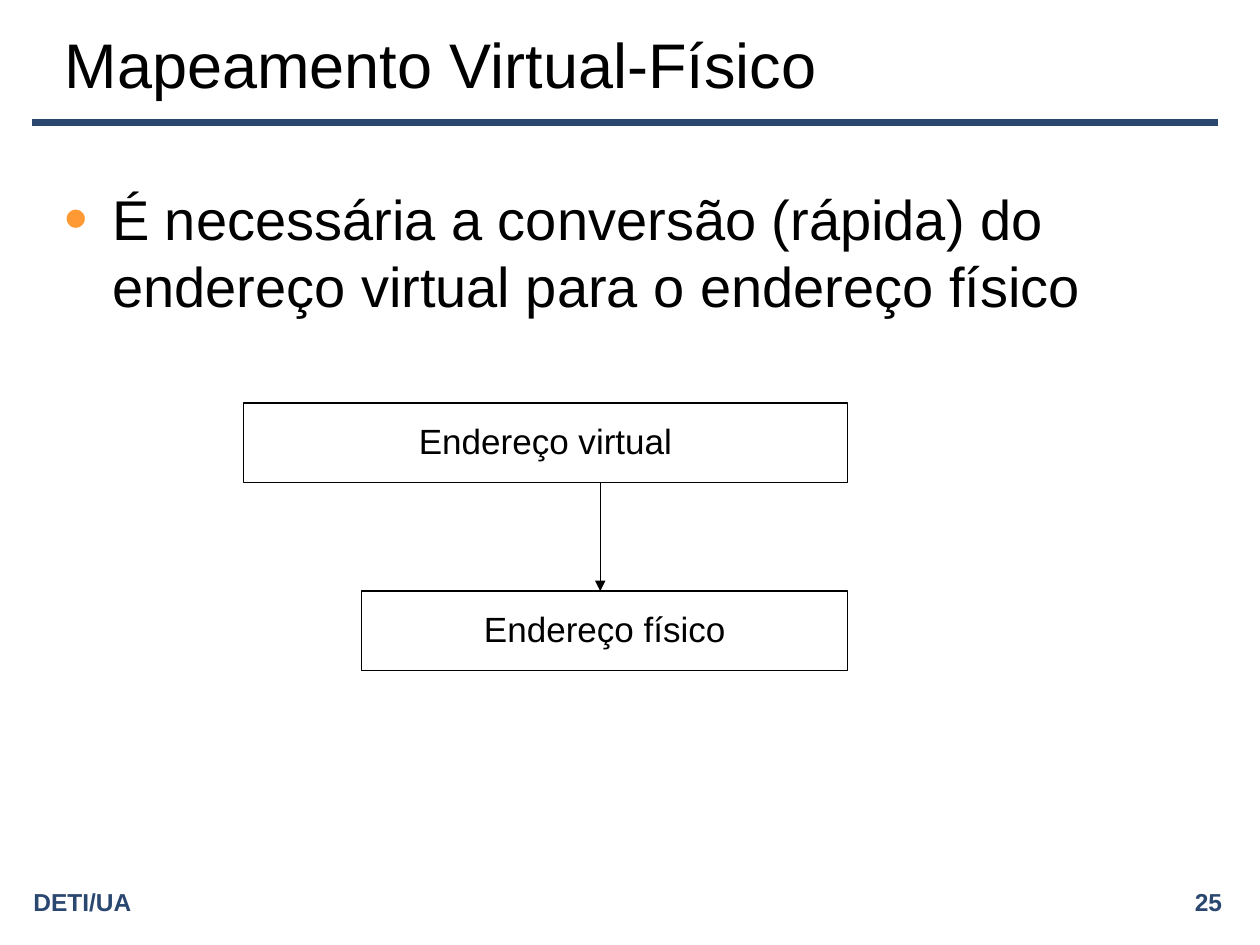
from lxml.etree import SubElement
from pptx import Presentation
from pptx.dml.color import RGBColor
from pptx.enum.shapes import MSO_CONNECTOR, MSO_SHAPE
from pptx.enum.text import MSO_ANCHOR, PP_ALIGN
from pptx.oxml.ns import qn
from pptx.util import Pt

COLORS = {"ink": "000000", "navy": "2A476F", "orange": "FF9933"}


def write(shape, text, size, color="ink", bold=False, align=PP_ALIGN.LEFT,
          anchor=MSO_ANCHOR.MIDDLE, before=0, wrap=True, bottom=3.6):
    frame = shape.text_frame
    frame.word_wrap = wrap
    frame.vertical_anchor = anchor
    frame.margin_bottom = Pt(bottom)
    para = frame.paragraphs[0]
    para.alignment = align
    para.space_before = Pt(before)
    run = para.add_run()
    run.text = text
    run.font.name = "Arial"
    run.font.size = Pt(size)
    run.font.bold = bold
    run.font.color.rgb = RGBColor.from_string(COLORS[color])
    return para


def join(shapes, start, end, color, width):
    line = shapes.add_connector(MSO_CONNECTOR.STRAIGHT, *map(Pt, start + end))
    line.line.color.rgb = RGBColor.from_string(COLORS[color])
    line.line.width = Pt(width)
    SubElement(line._element.spPr, qn("a:effectLst"))
    return line


deck = Presentation()
deck.slide_width, deck.slide_height = Pt(720), Pt(540)
slide = deck.slides.add_slide(deck.slide_layouts[6])
shapes = slide.shapes

join(shapes, (18, 70), (696, 70), "navy", 4.5)

for left, text, align in [(426, "25", PP_ALIGN.RIGHT), (12, "DETI/UA", PP_ALIGN.LEFT)]:
    foot = shapes.add_textbox(Pt(left), Pt(504), Pt(279.5), Pt(22.5))
    write(foot, text, 14, color="navy", bold=True, align=align)

title = shapes.add_textbox(Pt(30), Pt(12), Pt(630), Pt(48))
write(title, "Mapeamento Virtual-Físico", 36)

body = shapes.add_textbox(Pt(30), Pt(102), Pt(648), Pt(356.5))
para = write(body, "É necessária a conversão (rápida) do endereço virtual para o endereço físico",
             32, anchor=MSO_ANCHOR.TOP, before=6.4)
props = para._p.get_or_add_pPr()
props.set("marL", str(Pt(27)))
props.set("indent", str(-Pt(27)))
tint = SubElement(props, qn("a:buClr"))
SubElement(tint, qn("a:srgbClr"), val=COLORS["orange"])
SubElement(props, qn("a:buSzPct"), val="120000")
SubElement(props, qn("a:buFont"), typeface="Arial")
SubElement(props, qn("a:buChar"), char="•")

right, high = 484.5, 45.5
tops = 230.25, 337.75
for left, top, text in [(139, tops[0], "Endereço virtual"), (206.75, tops[1], "Endereço físico")]:
    box = shapes.add_shape(MSO_SHAPE.RECTANGLE, Pt(left), Pt(top), Pt(right - left), Pt(high))
    box.shadow.inherit = False
    box.fill.background()
    box.line.color.rgb = RGBColor.from_string(COLORS["ink"])
    box.line.width = Pt(0.75)
    write(box, text, 20, align=PP_ALIGN.CENTER, before=4, wrap=False, bottom=6.5)

arrow = join(shapes, (343, tops[0] + high), (343, tops[1]), "ink", 0.75)
SubElement(arrow.line._get_or_add_ln(), qn("a:tailEnd"), type="triangle")

deck.save("out.pptx")
